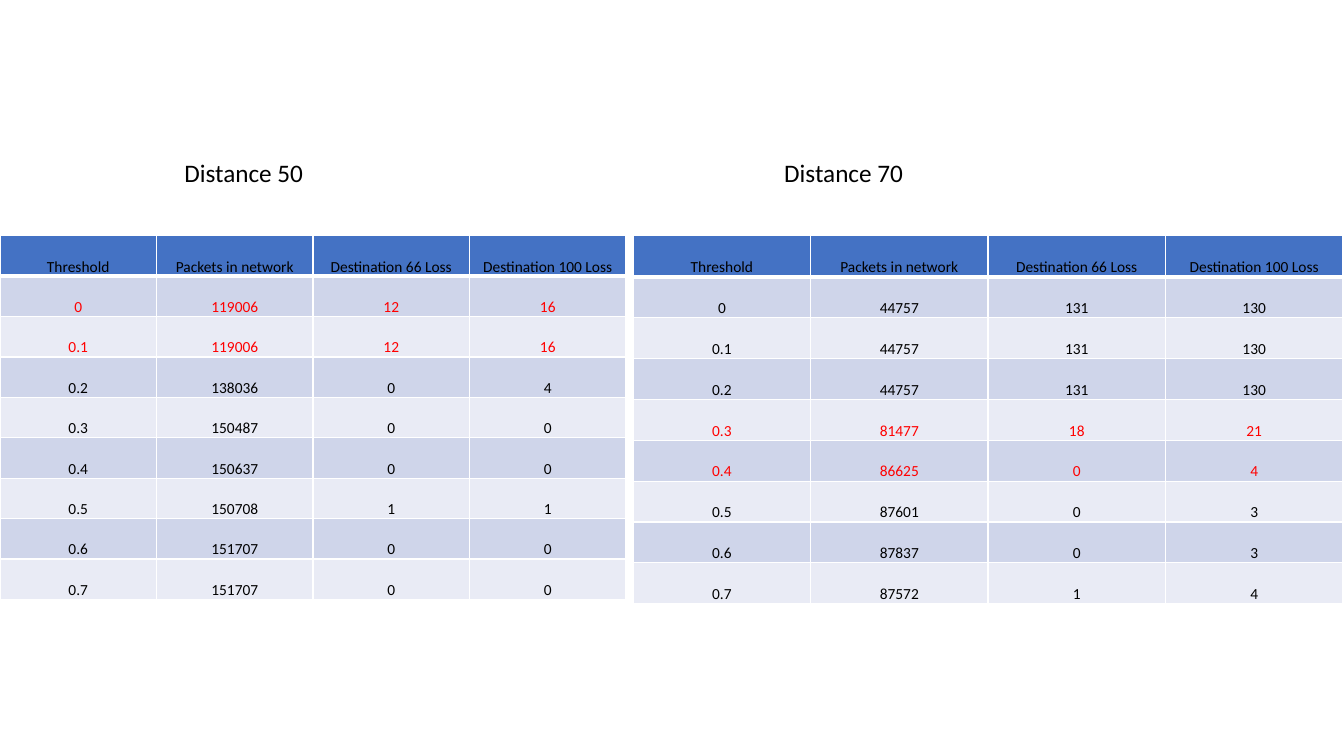
from dataclasses import dataclass

import lxml.etree
import pptx
import pptx.dml.color
import pptx.enum.text
import pptx.oxml.ns
import pptx.util

PX = 9144  # EMU per px, 100 px to the inch
FONT = "Calibri"
COLORS = {
    "header": "4472C4",
    "odd": "CFD5EA",
    "even": "E9EBF5",
    "border": "FFFFFF",
    "text": "000000",
    "highlight": "FF0000",
}
HEADINGS = ("Threshold", "Packets in network", "Destination 66 Loss", "Destination 100 Loss")
TABLE_TOP = 234
TITLE_TOP, TITLE_WIDTH, TITLE_HEIGHT = 151, 494, 40


@dataclass(frozen=True)
class LossTable:
    title: str
    title_left: int
    left: int
    width: int
    height: int
    highlighted: tuple[int, ...]
    rows: tuple[tuple[str, ...], ...]


LOSS_TABLES = (
    LossTable("Distance 50", 173, 0, 621, 361, (1, 2), (
        ("0", "119006", "12", "16"),
        ("0.1", "119006", "12", "16"),
        ("0.2", "138036", "0", "4"),
        ("0.3", "150487", "0", "0"),
        ("0.4", "150637", "0", "0"),
        ("0.5", "150708", "1", "1"),
        ("0.6", "151707", "0", "0"),
        ("0.7", "151707", "0", "0"),
    )),
    LossTable("Distance 70", 768, 628, 704, 365, (4, 5), (
        ("0", "44757", "131", "130"),
        ("0.1", "44757", "131", "130"),
        ("0.2", "44757", "131", "130"),
        ("0.3", "81477", "18", "21"),
        ("0.4", "86625", "0", "4"),
        ("0.5", "87601", "0", "3"),
        ("0.6", "87837", "0", "3"),
        ("0.7", "87572", "1", "4"),
    )),
)


def px(length: int) -> pptx.util.Emu:
    return pptx.util.Emu(length * PX)


def rgb(name: str) -> pptx.dml.color.RGBColor:
    return pptx.dml.color.RGBColor.from_string(COLORS[name])


def add_run(p, text: str, size: int, color: str) -> None:
    r = p.add_run()
    r.text = text
    r.font.name = FONT
    r.font.size = pptx.util.Pt(size)
    r.font.bold = False
    r.font.color.rgb = rgb(color)


def add_borders(cell, row: int) -> None:
    """Draw white 1 pt edges, with a 3 pt rule under the header row."""
    qn = pptx.oxml.ns.qn
    widths = {"L": 1, "R": 1, "T": 3 if row == 1 else 1, "B": 3 if row == 0 else 1}
    tc_pr = cell._tc.get_or_add_tcPr()
    for side, width in widths.items():
        ln = lxml.etree.SubElement(tc_pr, qn(f"a:ln{side}"), w=str(pptx.util.Pt(width)))
        fill = lxml.etree.SubElement(ln, qn("a:solidFill"))
        lxml.etree.SubElement(fill, qn("a:srgbClr"), val=COLORS["border"])


def fill_cell(cell, row: int, text: str, color: str) -> None:
    add_borders(cell, row)
    cell.fill.solid()
    cell.fill.fore_color.rgb = rgb("header" if row == 0 else "odd" if row % 2 else "even")
    cell.margin_left = cell.margin_right = cell.margin_top = px(1)
    cell.margin_bottom = 0
    cell.vertical_anchor = pptx.enum.text.MSO_ANCHOR.BOTTOM
    p = cell.text_frame.paragraphs[0]
    p.alignment = pptx.enum.text.PP_ALIGN.CENTER
    add_run(p, text, 11, color)


def add_loss_table(s, spec: LossTable) -> None:
    rows = (HEADINGS, *spec.rows)
    table = s.shapes.add_table(
        len(rows), len(HEADINGS), px(spec.left), px(TABLE_TOP), px(spec.width), px(spec.height)
    ).table
    for row, values in enumerate(rows):
        color = "highlight" if row in spec.highlighted else "text"
        for column, value in enumerate(values):
            fill_cell(table.cell(row, column), row, value, color)


def add_title(s, spec: LossTable) -> None:
    sp = s.shapes.add_textbox(px(spec.title_left), px(TITLE_TOP), px(TITLE_WIDTH), px(TITLE_HEIGHT))
    tf = sp.text_frame
    tf.word_wrap = True
    tf.auto_size = pptx.enum.text.MSO_AUTO_SIZE.SHAPE_TO_FIT_TEXT
    add_run(tf.paragraphs[0], spec.title, 18, "text")


def main() -> None:
    prs = pptx.Presentation()
    prs.slide_width, prs.slide_height = px(1333), px(750)
    s = prs.slides.add_slide(prs.slide_layouts[6])
    for spec in LOSS_TABLES:
        add_loss_table(s, spec)
    for spec in reversed(LOSS_TABLES):
        add_title(s, spec)
    prs.save("out.pptx")


if __name__ == "__main__":
    main()
